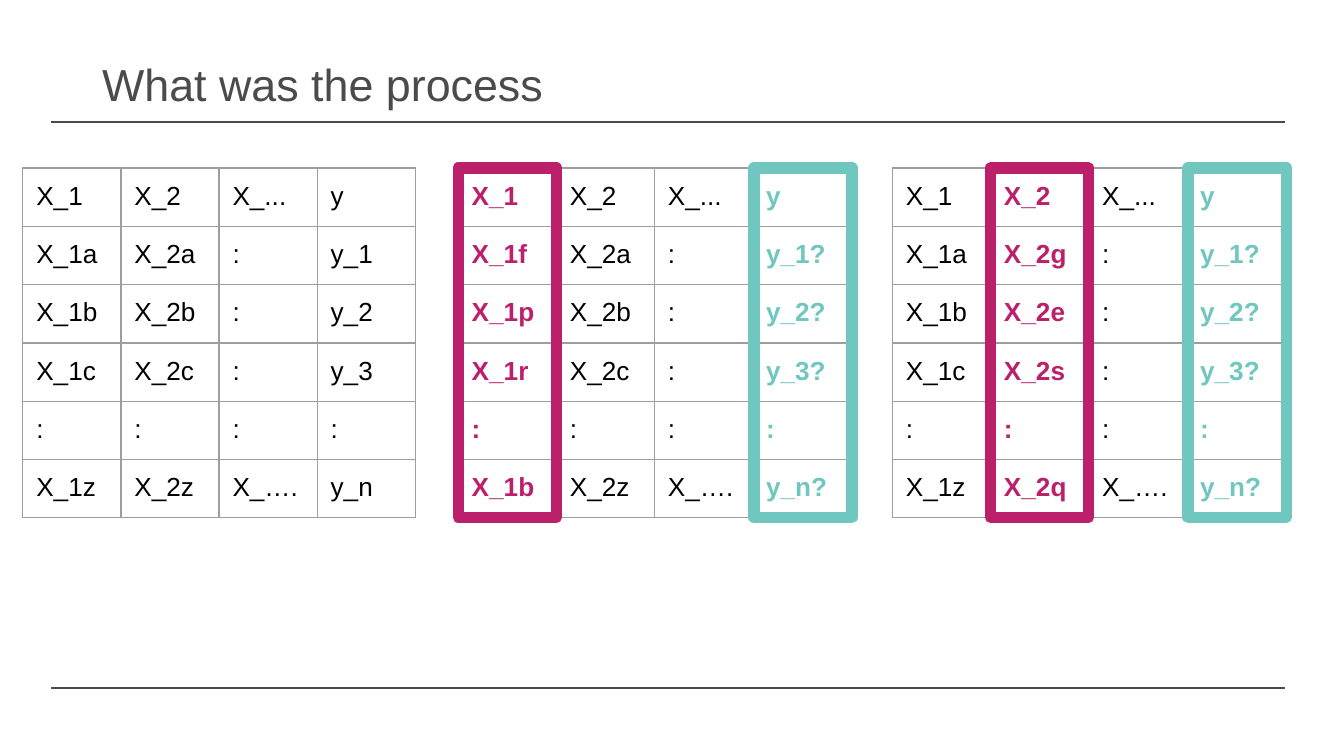
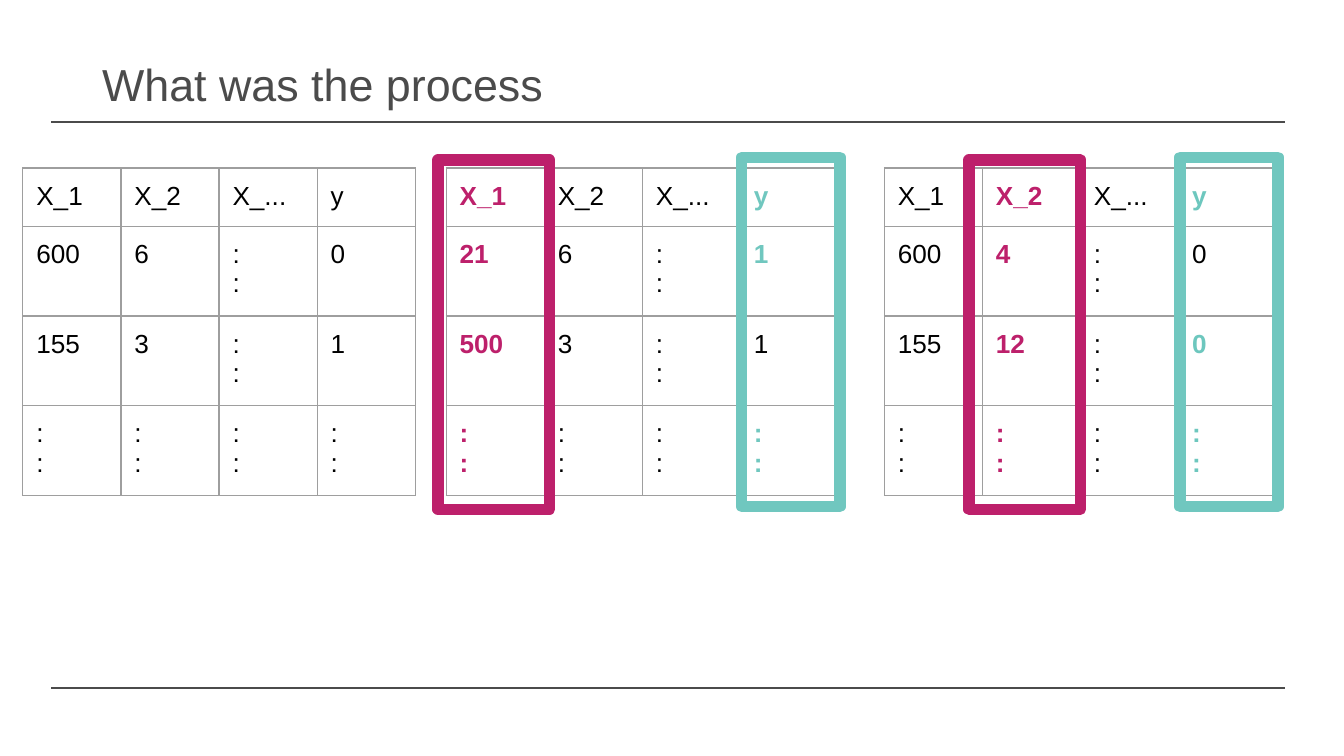
from lxml.etree import SubElement
from pptx import Presentation
from pptx.dml.color import RGBColor
from pptx.enum.shapes import MSO_CONNECTOR, MSO_SHAPE
from pptx.enum.text import MSO_ANCHOR
from pptx.oxml.ns import qn
from pptx.util import Inches, Pt

GRAY = RGBColor(0x4B, 0x4B, 0x4B)
GRID = RGBColor(0x9E, 0x9E, 0x9E)
BLACK = RGBColor(0, 0, 0)
PINK = RGBColor(0xBD, 0x20, 0x6B)
TEAL = RGBColor(0x70, 0xC7, 0xBF)
MINT = RGBColor(0x6D, 0xC7, 0xBE)

FONT = "Arial"
TITLE = "What was the process"
RULES = (5.12, 0.91)
TOP, COL, TALL, SIDE = 1.25, 0.73, 2.6, 3.28

X1 = ("X_1", "X_1a", "X_1b", "X_1c", ":", "X_1z")
X2 = ("X_2", "X_2a", "X_2b", "X_2c", ":", "X_2z")
REST = ("X_...", ":", ":", ":", ":", "X_….")
Y = ("y", "y_1", "y_2", "y_3", ":", "y_n")
GUESS = ("y", "y_1?", "y_2?", "y_3?", ":", "y_n?")
MIX1 = ("X_1", "X_1f", "X_1p", "X_1r", ":", "X_1b")
MIX2 = ("X_2", "X_2g", "X_2e", "X_2s", ":", "X_2q")

DOTS = ":\n:"
NUM1 = ("X_1", "600", "155", DOTS)
NUM2 = ("X_2", "6", "3", DOTS)
MORE = ("X_...", DOTS, DOTS, DOTS)

SLIDES = [
    {
        "rows": [0.25] * 6,
        "tables": [
            {"left": 0.17, "cols": (X1, X2, REST, Y)},
            {"left": 3.41, "cols": (MIX1, X2, REST, GUESS),
             "marks": {0: PINK, 3: TEAL}},
            {"left": 6.64, "cols": (X1, MIX2, REST, GUESS),
             "marks": {1: PINK, 3: TEAL}},
        ],
        "frames": [
            (PINK, TOP, COL, (3.41, 7.37)),
            (TEAL, TOP, COL, (5.61, 8.84)),
        ],
    },
    {
        "rows": [0.23, 0.43, 0.42, 0.42],
        "tables": [
            {"left": 0.17, "cols": (NUM1, NUM2, MORE, ("y", "0", "1", DOTS))},
            {"left": 3.32,
             "cols": (("X_1", "21", "500", DOTS), NUM2, MORE,
                      ("y", "1", "1", DOTS)),
             "marks": {0: PINK, 3: TEAL}, "plain": (2, 3)},
            {"left": 6.58,
             "cols": (NUM1, ("X_2", "4", "12", DOTS), MORE,
                      ("y", "0", "0", DOTS)),
             "marks": {1: PINK, 3: MINT}, "plain": (1, 3)},
        ],
        "frames": [
            (PINK, 1.19, 0.83, (3.26, 7.21)),
            (TEAL, 1.17, COL, (5.52, 8.78)),
        ],
    },
]


def write(frame, text, size=14, color=BLACK, bold=False, space=1.0):
    frame.text = text
    for para in frame.paragraphs:
        para.line_spacing = space
        for run in para.runs:
            font = run.font
            font.name, font.size, font.bold = FONT, Pt(size), bold
            font.color.rgb = color


def add_title(slide):
    box = slide.shapes.add_textbox(
        Inches(0.69), Inches(0.42), Inches(8.62), Inches(0.46))
    frame = box.text_frame
    frame.word_wrap = True
    frame.vertical_anchor = MSO_ANCHOR.MIDDLE
    frame.margin_left = frame.margin_right = Inches(0.07)
    frame.margin_top = frame.margin_bottom = Inches(0.04)
    write(frame, TITLE, size=24, color=GRAY, space=0.9)


def add_rule(slide, y):
    rule = slide.shapes.add_connector(
        MSO_CONNECTOR.STRAIGHT, Inches(0.38), Inches(y), Inches(9.56), Inches(y))
    rule.line.color.rgb = GRAY
    rule.line.width = Pt(1.3)
    SubElement(rule.element.spPr, qn("a:effectLst"))


def add_edges(cell):
    props = cell._tc.get_or_add_tcPr()
    for side in "LRTB":
        edge = SubElement(props, qn(f"a:ln{side}"), w=str(Pt(0.75)))
        fill = SubElement(edge, qn("a:solidFill"))
        SubElement(fill, qn("a:srgbClr"), val=str(GRID))


def add_grid(slide, heights, left, cols, marks={}, plain=None):
    shape = slide.shapes.add_table(
        len(heights), len(cols), Inches(left), Inches(TOP),
        Inches(SIDE), Inches(SIDE))
    table = shape.table
    table.first_row = table.horz_banding = False
    for col in table.columns:
        col.width = Inches(COL)
    for r, texts in enumerate(zip(*cols)):
        table.rows[r].height = Inches(heights[r])
        for c, text in enumerate(texts):
            cell = table.cell(r, c)
            cell.margin_left = cell.margin_right = Inches(0.1)
            cell.margin_top = cell.margin_bottom = Inches(0.1)
            add_edges(cell)
            cell.fill.background()
            bold = c in marks and (r, c) != plain
            write(cell.text_frame, text, bold=bold,
                  color=marks[c] if bold else BLACK)
    shape.width = shape.height = Inches(SIDE)


def add_frame(slide, color, left, top, width):
    shape = slide.shapes.add_shape(
        MSO_SHAPE.RECTANGLE, Inches(left), Inches(top), Inches(width), Inches(TALL))
    shape.shadow.inherit = False
    shape.fill.background()
    shape.line.color.rgb = color
    shape.line.width = Pt(6)
    SubElement(shape.element.spPr.find(qn("a:ln")), qn("a:round"))


def main():
    deck = Presentation()
    deck.slide_width = Inches(10)
    deck.slide_height = deck.slide_width * 9 // 16
    for data in SLIDES:
        slide = deck.slides.add_slide(deck.slide_layouts[6])
        for y in RULES:
            add_rule(slide, y)
        add_title(slide)
        for table in data["tables"]:
            add_grid(slide, data["rows"], **table)
        for color, top, width, lefts in data["frames"]:
            for left in lefts:
                add_frame(slide, color, left, top, width)
    deck.save("out.pptx")


if __name__ == "__main__":
    main()
